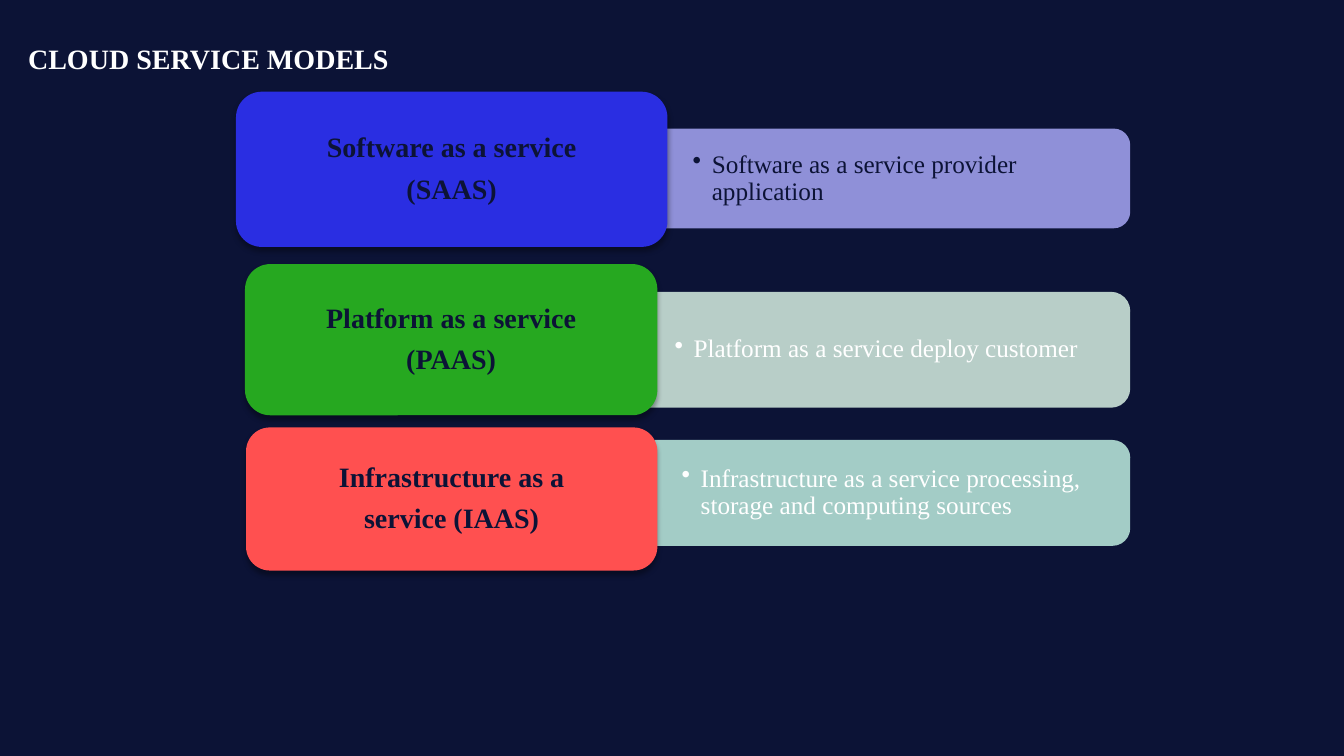
from lxml import etree
from pptx import Presentation, util as u
from pptx.dml.color import RGBColor
from pptx.enum import shapes, text
from pptx.oxml.ns import qn

FONT = "Times New Roman"
NAVY, WHITE = "0C1336", "FFFFFF"
TITLE = "CLOUD SERVICE MODELS"
RIGHT = 11.21
ROWS = [
    dict(label=["Software as a service", "(SAAS)"],
         note="Software as a service provider application",
         card=(2.34, 0.91, 4.28, 1.54), fill="2A2EE2",
         bar=(6.6, 1.77, 0.99), tint="9E9EEA", ink=NAVY),
    dict(label=["Platform as a service", "(PAAS)"],
         note="Platform as a service deploy customer",
         card=(2.43, 2.62, 4.09, 1.5), fill="26A820",
         bar=(6.42, 3.47, 1.15), tint="CBE3D8", ink=WHITE),
    dict(label=["Infrastructure as a", "service (IAAS)"],
         note="Infrastructure as a service processing, storage and computing sources",
         card=(2.44, 4.24, 4.08, 1.42), fill="FF5050",
         bar=(6.49, 4.89, 1.05), tint="B4E1D6", ink=WHITE),
]


def paint(fill, color):
    fill.solid()
    fill.fore_color.rgb = RGBColor.from_string(color)


def sub(node, tag, **attrs):
    return etree.SubElement(node, qn(tag), attrs)


def add_block(items, kind, box, color):
    block = items.add_shape(kind, *map(u.Inches, box))
    block.shadow.inherit = False
    block.line.fill.background()
    paint(block.fill, color)
    return block


def add_text(items, box, lines, size, color, bold=False, pad=(0.1, 0.05)):
    frame = items.add_textbox(*map(u.Inches, box)).text_frame
    frame.word_wrap = True
    frame.vertical_anchor = text.MSO_ANCHOR.MIDDLE
    frame.margin_left = frame.margin_right = u.Inches(pad[0])
    frame.margin_top = frame.margin_bottom = u.Inches(pad[1])
    frame.text = "\n".join(lines)
    for para in frame.paragraphs:
        font = para.font
        font.name, font.size, font.bold = FONT, u.Pt(size), bold
        paint(font.fill, color)
    return frame.paragraphs


def add_bar(items, row):
    left, mid, high = row["bar"]
    wide = RIGHT - left
    box = ((left + RIGHT - high) / 2, mid - wide / 2, high, wide)
    bar = add_block(items, shapes.MSO_SHAPE.ROUND_2_SAME_RECTANGLE, box, row["tint"])
    bar.rotation = 90
    tone = bar._element.spPr.find(qn("a:solidFill"))[0]
    sub(tone, "a:alpha", val="90000")

    tall = high - 0.1
    para, = add_text(items, (left, mid - tall / 2, wide - 0.05, tall),
                     [row["note"]], 18, row["ink"], pad=(0.27, 0.14))
    para.level = 1
    para.line_spacing = 0.9
    props = para._p.get_or_add_pPr()
    dent = u.Inches(0.19)
    props.set("marL", str(dent))
    props.set("indent", str(-dent))
    bullet = etree.Element(qn("a:buChar"), char="•")
    props.find(qn("a:defRPr")).addprevious(bullet)


def add_card(items, row):
    left, top, wide, high = row["card"]
    card = add_block(items, shapes.MSO_SHAPE.ROUNDED_RECTANGLE, row["card"], row["fill"])
    glow = sub(card._element.spPr.find(qn("a:effectLst")), "a:outerShdw",
               blurRad=str(u.Pt(4)), dist=str(u.Pt(3)), dir="5400000", rotWithShape="0")
    sub(sub(glow, "a:srgbClr", val="000000"), "a:alpha", val="35000")

    gap = 0.07
    box = (left + gap, top + gap, wide - 2 * gap, high - 2 * gap)
    for para in add_text(items, box, row["label"], 20, NAVY, True, (0.08, 0.04)):
        para.alignment = text.PP_ALIGN.CENTER
        para.line_spacing = 0.9
        para.space_after = u.Pt(8)


def main():
    deck = Presentation()
    deck.slide_width, deck.slide_height = u.Inches(13.33), u.Inches(7.5)
    slide = deck.slides.add_slide(deck.slide_layouts[6])
    paint(slide.background.fill, NAVY)
    add_text(slide.shapes, (0.18, 0.36, 8.6, 0.44), [TITLE], 20, WHITE, True)
    items = slide.shapes.add_group_shape().shapes
    for row in ROWS:
        add_bar(items, row)
        add_card(items, row)
    deck.save("out.pptx")


if __name__ == "__main__":
    main()
